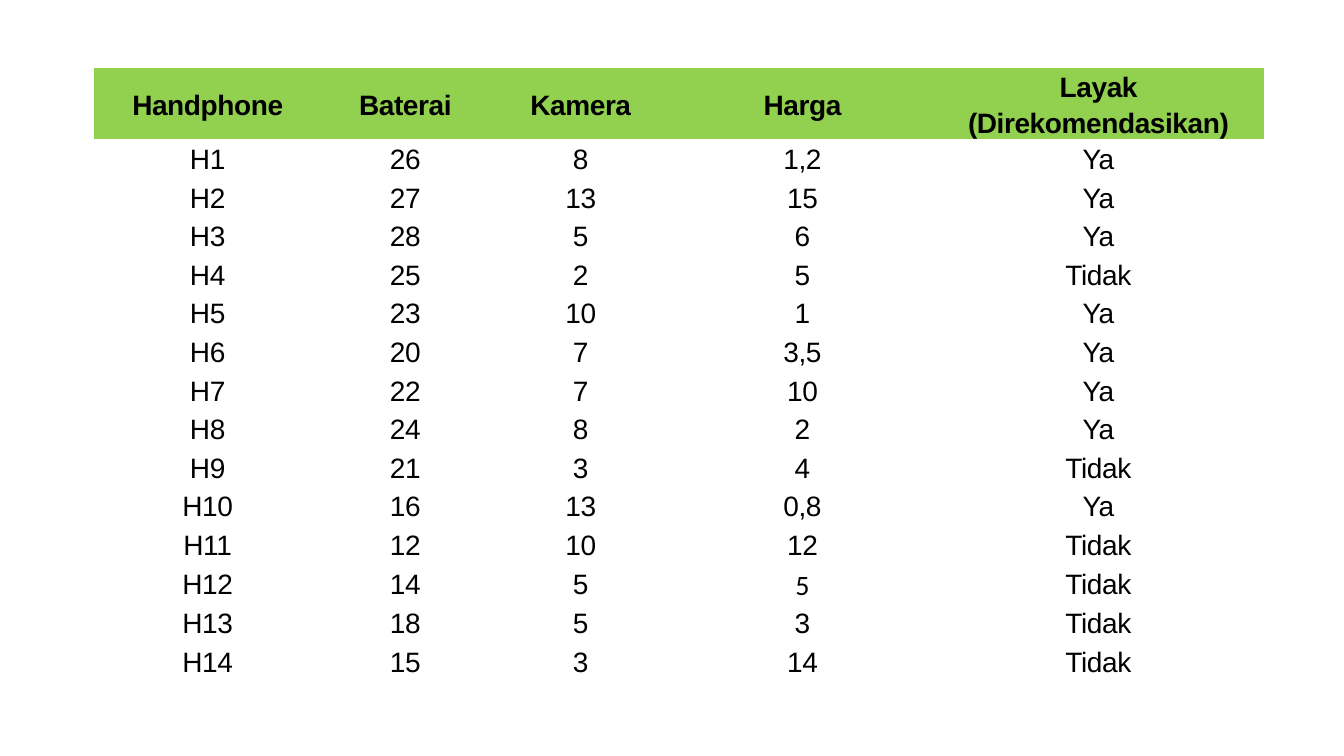
import pptx
import pptx.util
import pptx.dml.color
import pptx.enum.text
import pptx.oxml.ns
import lxml.etree

Inches = pptx.util.Inches
RGBColor = pptx.dml.color.RGBColor
Anchor = pptx.enum.text.MSO_ANCHOR

GREEN = RGBColor(0x92, 0xD0, 0x50)
BLACK = RGBColor(0x00, 0x00, 0x00)
NO_STYLE = "{2D5ABB26-0587-4C30-8999-92F81FD0307C}"

HEADINGS = ["Handphone", "Baterai", "Kamera", "Harga", "Layak (Direkomendasikan)"]
PHONES = [
    ("H1", "26", "8", "1,2", "Ya"),
    ("H2", "27", "13", "15", "Ya"),
    ("H3", "28", "5", "6", "Ya"),
    ("H4", "25", "2", "5", "Tidak"),
    ("H5", "23", "10", "1", "Ya"),
    ("H6", "20", "7", "3,5", "Ya"),
    ("H7", "22", "7", "10", "Ya"),
    ("H8", "24", "8", "2", "Ya"),
    ("H9", "21", "3", "4", "Tidak"),
    ("H10", "16", "13", "0,8", "Ya"),
    ("H11", "12", "10", "12", "Tidak"),
    ("H12", "14", "5", "5", "Tidak"),
    ("H13", "18", "5", "3", "Tidak"),
    ("H14", "15", "3", "14", "Tidak"),
]
COLUMN_WIDTHS = [2.26, 1.66, 1.82, 2.58, 3.29]


def write_cell(cell, text, font="Arial", bold=False, fill=None, anchor=Anchor.TOP):
    cell.margin_left = cell.margin_right = Inches(0.07)
    cell.margin_top = cell.margin_bottom = 0
    cell.vertical_anchor = anchor
    if fill is None:
        cell.fill.background()
    else:
        cell.fill.solid()
        cell.fill.fore_color.rgb = fill
    paragraph = cell.text_frame.paragraphs[0]
    paragraph.alignment = pptx.enum.text.PP_ALIGN.CENTER
    paragraph.line_spacing = 1.15
    qn = pptx.oxml.ns.qn
    tabs = lxml.etree.SubElement(paragraph._p.get_or_add_pPr(), qn("a:tabLst"))
    lxml.etree.SubElement(tabs, qn("a:tab"), pos=str(Inches(0.88)), algn="l")
    run = paragraph.add_run()
    run.text = text
    run.font.name = font
    run.font.size = pptx.util.Pt(20)
    run.font.bold = bold
    run.font.color.rgb = BLACK
    run._r.get_or_add_rPr().set("spc", "-30")


presentation = pptx.Presentation()
presentation.slide_width = Inches(13.33)
presentation.slide_height = Inches(7.5)
slide = presentation.slides.add_slide(presentation.slide_layouts[6])

phone_table = slide.shapes.add_table(
    len(PHONES) + 1, len(HEADINGS),
    Inches(0.93), Inches(0.67), Inches(sum(COLUMN_WIDTHS)), Inches(5.75),
).table
phone_table.first_row = False
phone_table.horz_banding = False
phone_table._tbl.tblPr.find(pptx.oxml.ns.qn("a:tableStyleId")).text = NO_STYLE

for column, width in zip(phone_table.columns, COLUMN_WIDTHS):
    column.width = Inches(width)

for column, heading in enumerate(HEADINGS):
    write_cell(phone_table.cell(0, column), heading, bold=True, fill=GREEN, anchor=Anchor.MIDDLE)

for row, phone in enumerate(PHONES, start=1):
    for column, value in enumerate(phone):
        is_h12_price = phone[0] == "H12" and HEADINGS[column] == "Harga"
        write_cell(phone_table.cell(row, column), value, font="Calibri" if is_h12_price else "Arial")

presentation.save("out.pptx")
